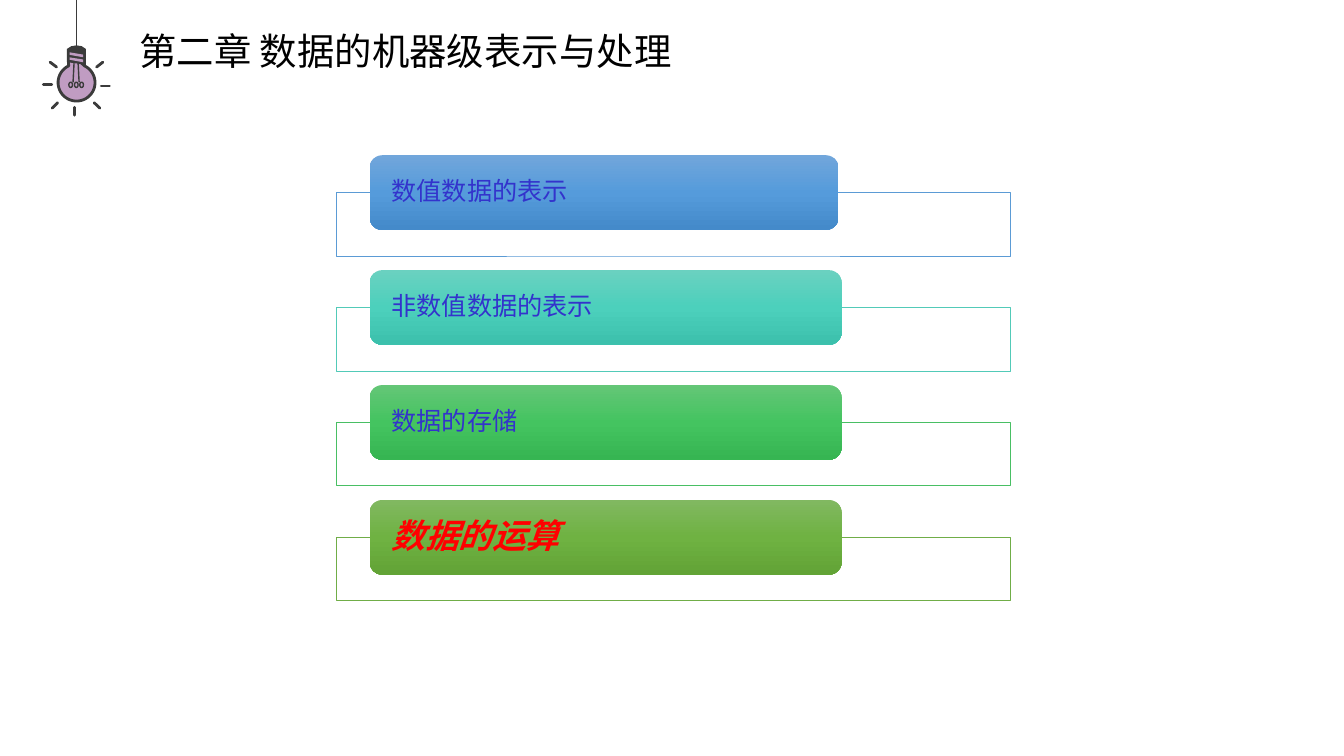
"""Build the chapter two overview slide with its light bulb and four topics."""
from copy import deepcopy
from dataclasses import dataclass
from math import cos, radians, sin

from lxml import etree
from pptx import Presentation
from pptx.dml.color import RGBColor
from pptx.enum.shapes import MSO_CONNECTOR, MSO_SHAPE
from pptx.enum.text import MSO_ANCHOR, MSO_AUTO_SIZE, PP_ALIGN
from pptx.oxml.ns import qn
from pptx.util import Pt

RECT, ROUND, OVAL = MSO_SHAPE.RECTANGLE, MSO_SHAPE.ROUNDED_RECTANGLE, MSO_SHAPE.OVAL
STRAIGHT = MSO_CONNECTOR.STRAIGHT
TOP, MIDDLE = MSO_ANCHOR.TOP, MSO_ANCHOR.MIDDLE
LEFT, NO_FIT = PP_ALIGN.LEFT, MSO_AUTO_SIZE.NONE
FONT = "Noto Sans CJK SC"
DARK, PURPLE = "3B3B3B", "C09CC2"
BULB_X, BULB_Y, BULB_R = 54.7, 59, 13.2
TOPIC_TOP, TOPIC_STEP = 110.9, 82.08


@dataclass
class Topic:
    text: str
    width: float
    line: str
    stops: tuple[str, str, str]
    size: float = 18
    color: str = "3333CC"
    strong: bool = False


@dataclass
class Stroke:
    x1: float
    y1: float
    x2: float
    y2: float
    width: float = 2
    cap: str = "rnd"


@dataclass
class Outline:
    points: list[tuple[float, float]]
    fill: str
    line: str | None = None


TOPICS = [
    Topic("数值数据的表示", 334.8, "5B9BD5", ("71A6DB", "559BDB", "448ACA")),
    Topic("非数值数据的表示", 337, "52CAB8", ("6AD1C0", "4CD0BC", "3CC0AC")),
    Topic("数据的存储", 337, "49BF64", ("64C677", "44C460", "36B552")),
    Topic("数据的运算", 337, "70AD47", ("81B861", "6FB242", "62A336"), 24, "FF0000", True),
]
STROKES = [
    Stroke(54.7, 35, 54.7, 0, 1, "flat"),
    Stroke(52.9, 45, 52.2, 58.5, 1),
    Stroke(55.8, 45, 56.5, 58.5, 1),
    Stroke(72.3, 61.5, 78.2, 61.5),
    Stroke(53.2, 76.7, 53.2, 82.3),
    Stroke(30.9, 60.6, 37, 60.6),
    Stroke(35.8, 44.4, 40.4, 47.9),
    Stroke(69, 47.9, 73.5, 44.4),
    Stroke(37.2, 77.3, 41.2, 73.4),
    Stroke(67.3, 73.4, 71.3, 77.3),
]
GLASS = [(BULB_X + BULB_R * cos(radians(a)), BULB_Y + BULB_R * sin(radians(a)))
         for a in range(-65, 246, 5)]
OUTLINES = [
    Outline([(49, 36), *GLASS, (49, 46), (49, 36), (60.4, 36), (60.4, 46)], PURPLE, DARK),
    Outline([(47.8, 35), (51, 33), (54.7, 32.4), (58.4, 33), (61.4, 35),
             (61.4, 46.2), (47.8, 44.4)], DARK),
    Outline([(49.7, 37.4), (59.3, 39), (59.3, 40.9), (49.7, 39.2)], PURPLE),
    Outline([(49.7, 41), (59.3, 42.5), (59.3, 44.5), (49.7, 42.7)], PURPLE),
]
LOOP_XS = (50.5, 54.5, 58.3)


def rgb(value: str) -> RGBColor:
    """Turn a hex string into a colour."""
    return RGBColor.from_string(value)


def paint(s, fill: str | None, line: str | None, width: float = 1) -> None:
    """Set fill and line of a shape and drop its shadow."""
    s.shadow.inherit = False
    if fill:
        s.fill.solid()
        s.fill.fore_color.rgb = rgb(fill)
    else:
        s.fill.background()
    if line:
        s.line.color.rgb = rgb(line)
        s.line.width = Pt(width)
    else:
        s.line.fill.background()


def add_shape(shapes, kind, box: tuple[float, float, float, float]):
    """Add a preset shape at a box given in points."""
    return shapes.add_shape(kind, *(Pt(v) for v in box))


def draw_outline(shapes, outline: Outline) -> None:
    """Draw a closed polygon."""
    points = [(Pt(x), Pt(y)) for x, y in outline.points]
    builder = shapes.build_freeform(*points[0], scale=1.0)
    builder.add_line_segments(points[1:], close=True)
    paint(builder.convert_to_shape(), outline.fill, outline.line, 2)


def draw_stroke(shapes, stroke: Stroke) -> None:
    """Draw a dark line with the wanted cap."""
    ends = (stroke.x1, stroke.y1, stroke.x2, stroke.y2)
    s = shapes.add_connector(STRAIGHT, *(Pt(v) for v in ends))
    s.line.color.rgb = rgb(DARK)
    s.line.width = Pt(stroke.width)
    s.line._get_or_add_ln().set("cap", stroke.cap)
    etree.SubElement(s._element.spPr, qn("a:effectLst"))


def write(s, text: str, frame: dict, font: dict, color: str) -> None:
    """Write one formatted line into a shape."""
    tf = s.text_frame
    for name, value in frame.items():
        setattr(tf, name, value)
    p = tf.paragraphs[0]
    p.alignment = LEFT
    p.line_spacing = 0.9
    r = p.add_run()
    r.text = text
    for name, value in font.items():
        setattr(r.font, name, value)
    r.font.color.rgb = rgb(color)
    etree.SubElement(r._r.get_or_add_rPr(), qn("a:ea")).set("typeface", FONT)


def shade(s, colors: tuple[str, str, str]) -> None:
    """Fill a shape with an even gradient from top to bottom."""
    s.fill.gradient()
    s.fill.gradient_angle = 270
    stop_list = s._element.spPr.find(".//" + qn("a:gsLst"))
    stop_list.insert(1, deepcopy(stop_list[0]))
    for i, (stop, color) in enumerate(zip(s.fill.gradient_stops, colors)):
        stop.position = i / 2
        stop.color.rgb = rgb(color)


def draw_topic(shapes, topic: Topic, top: float) -> None:
    """Draw a topic tile over its outlined frame."""
    paint(add_shape(shapes, RECT, (240, top + 26.6, 481.7, 45.4)), "FFFFFF", topic.line, 0.5)
    s = add_shape(shapes, ROUND, (264.1, top, topic.width, 53.3))
    paint(s, None, None)
    shade(s, topic.stops)
    frame = {"margin_left": Pt(13), "margin_right": Pt(13), "margin_top": 0,
             "margin_bottom": 0, "vertical_anchor": MIDDLE, "word_wrap": True}
    font = {"size": Pt(topic.size), "name": FONT, "bold": topic.strong, "italic": topic.strong}
    write(s, topic.text, frame, font, topic.color)


def draw_bulb(shapes) -> None:
    """Draw the hanging light bulb."""
    for outline in OUTLINES:
        draw_outline(shapes, outline)
    for stroke in STROKES:
        draw_stroke(shapes, stroke)
    for x in LOOP_XS:
        paint(add_shape(shapes, OVAL, (x - 1.3, 58.7, 2.6, 3.8)), None, DARK, 1)


def main() -> None:
    """Build and save the slide."""
    prs = Presentation()
    prs.slide_width, prs.slide_height = Pt(960), Pt(540)
    slide = prs.slides.add_slide(prs.slide_layouts[5])
    title = slide.shapes.title
    place = {"left": 92.2, "top": 20.2, "width": 841, "height": 52.6}
    for name, value in place.items():
        setattr(title, name, Pt(value))
    frame = {"vertical_anchor": TOP, "auto_size": NO_FIT, "word_wrap": True}
    write(title, "第二章 数据的机器级表示与处理", frame, {"size": Pt(26.7), "name": FONT}, "000000")
    draw_bulb(slide.shapes)
    for i, topic in enumerate(TOPICS):
        draw_topic(slide.shapes, topic, TOPIC_TOP + i * TOPIC_STEP)
    prs.save("out.pptx")


if __name__ == "__main__":
    main()
